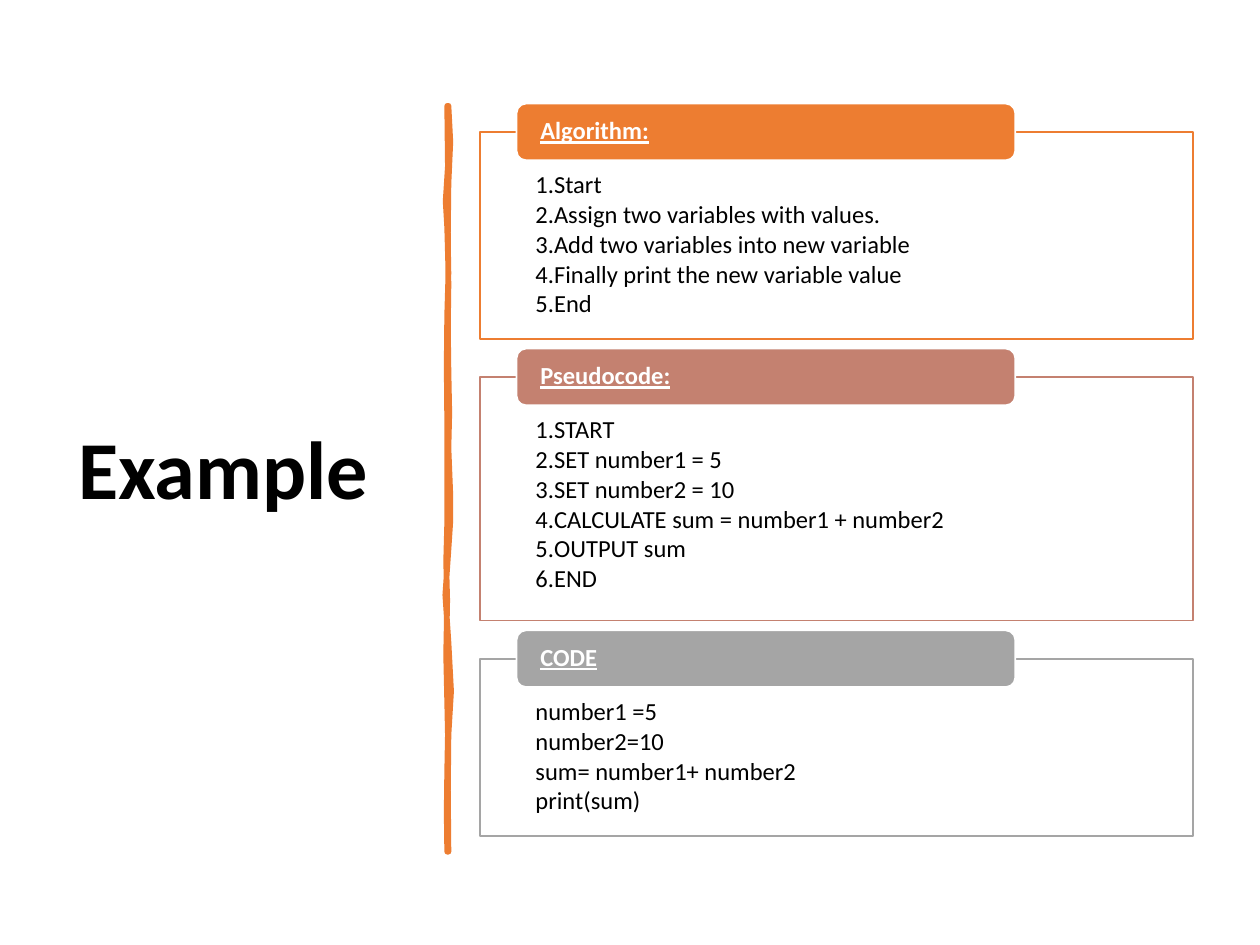
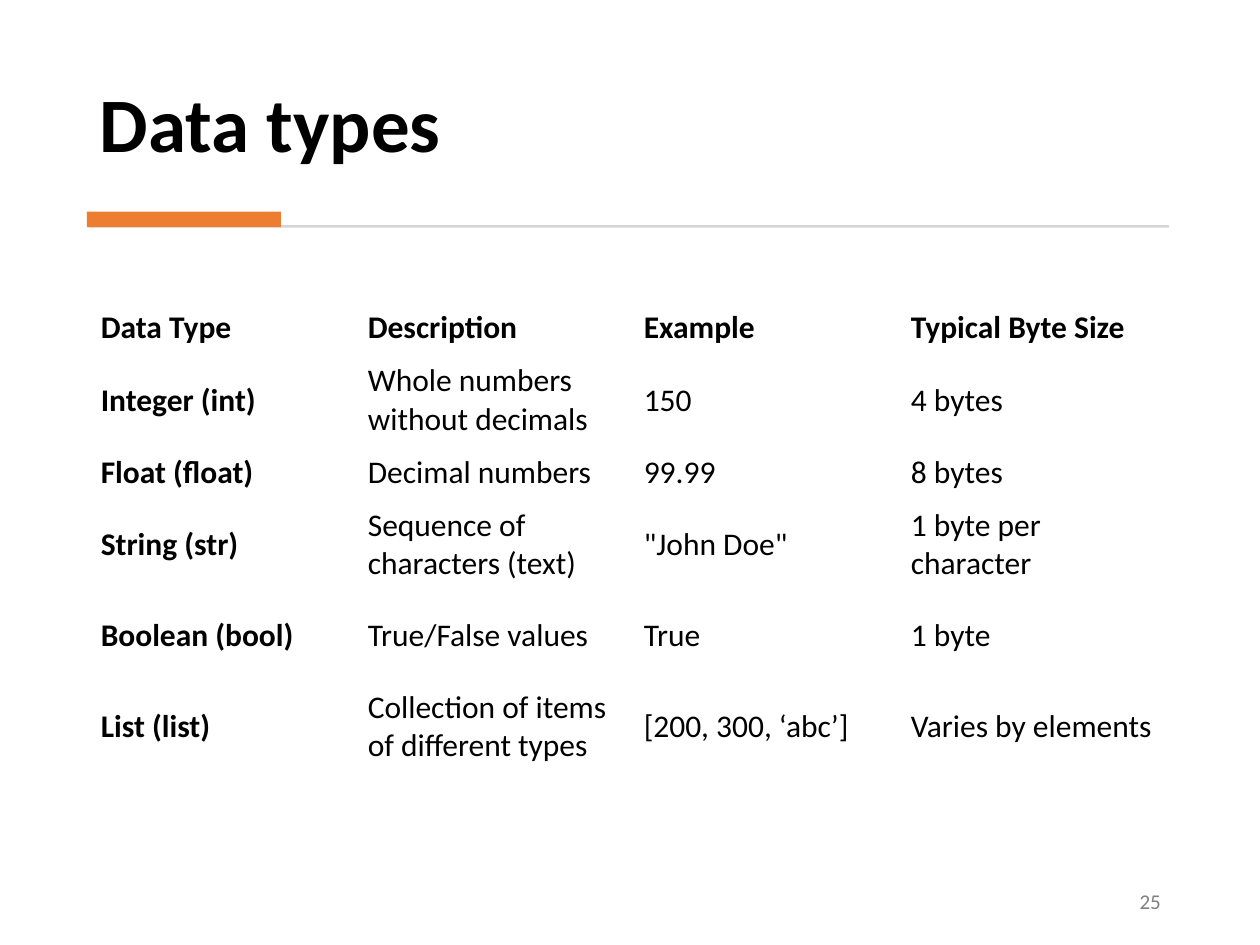
from pptx import Presentation
from pptx.dml.color import RGBColor
from pptx.enum import shapes as es, text as et
from pptx.oxml.ns import qn
from pptx.util import Pt
from lxml import etree

# Content
PANELS = [  # heading, colour, height, numbered, lines
    ("Algorithm:", "ED7D31", 118, True, [
        "Start", "Assign two variables with values.",
        "Add two variables into new variable",
        "Finally print the new variable value", "End"]),
    ("Pseudocode:", "C48170", 139, True, [
        "START", "SET number1 = 5", "SET number2 = 10",
        "CALCULATE sum = number1 + number2", "OUTPUT sum", "END"]),
    ("CODE", "A5A5A5", 101, False, [
        "number1 =5", "number2=10", "sum= number1+ number2", "print(sum)"]),
]
TYPES = [
    ("Data Type", "Description", "Example", "Typical Byte Size"),
    ("Integer (int)", "Whole numbers without decimals", "150", "4 bytes"),
    ("Float (float)", "Decimal numbers", "99.99", "8 bytes"),
    ("String (str)", "Sequence of characters (text)", '"John Doe"',
     "1 byte per character"),
    ("Boolean (bool)", "True/False values", "True", "1 byte"),
    ("List (list)", "Collection of items of different types",
     "[200, 300, ‘abc’]", "Varies by elements"),
]
COLS = [152.6, 157.7, 152.6, 158.4]
SHORT, TALL = 30.7, 52
ROWS = [SHORT, TALL, SHORT, TALL, TALL, TALL]

# Brush stroke edges: y and sideways offset from its axis
AXIS = 256
RIGHT = [(60.5, .3), (81, 1.4), (105, .3), (133, 0), (163, .3), (187, 0),
         (212, .3), (236, .8), (256, .3), (283, 1.4), (299, 1.3), (314, .3),
         (340, -1.5), (367, .3), (395, 1.8), (420, .3), (452, 0), (486.7, .3)]
LEFT = [(486.7, -.4), (464, -.7), (441, -.4), (420, 0), (401, -.4),
        (374, -1), (343, -.4), (321, -1), (299, -.4), (274, -.4),
        (241, -.4), (209, -.7), (180, -.4), (156, .3), (130, -.4),
        (115, -1.3), (95, 0), (60.5, -.4)]

# Shared style
FONT, ACCENT, BLACK, WHITE = "Calibri", "ED7D31", "000000", "FFFFFF"


def rgb(code):
    return RGBColor.from_string(code)


def write(frame, lines, size=14, color=BLACK, bold=False, under=False,
          align=et.PP_ALIGN.LEFT, anchor=et.MSO_ANCHOR.MIDDLE,
          space=1, after=0, number=False, inset=None):
    """Fill a text frame with one paragraph per line."""
    frame.word_wrap = True
    frame.vertical_anchor = anchor
    if inset:
        (frame.margin_left, frame.margin_top,
         frame.margin_right, frame.margin_bottom) = map(Pt, inset)
    for i, line in enumerate([lines] if isinstance(lines, str) else lines):
        para = frame.add_paragraph() if i else frame.paragraphs[0]
        para.alignment, para.line_spacing = align, space
        para.space_after = Pt(after)
        run = para.add_run()
        run.text = line
        font = run.font
        font.name, font.size, font.bold = FONT, Pt(size), bold
        font.underline, font.color.rgb = under, rgb(color)
        if number:
            props = para._p.get_or_add_pPr()
            props.set("marL", str(Pt(8.6)))
            props.set("indent", str(-Pt(8.6)))
            etree.SubElement(props, qn("a:buAutoNum"), type="arabicPeriod")


def paint(shape, fill, line=None, width=1):
    shape.shadow.inherit = False
    shape.fill.solid()
    shape.fill.fore_color.rgb = rgb(fill)
    if line:
        shape.line.color.rgb = rgb(line)
        shape.line.width = Pt(width)
    else:
        shape.line.fill.background()


def block(slide, box, fill, line=None, kind=es.MSO_SHAPE.RECTANGLE):
    shape = slide.shapes.add_shape(kind, *map(Pt, box))
    paint(shape, fill, line)
    return shape


def page(deck, title, box, size, anchor):
    slide = deck.slides.add_slide(deck.slide_layouts[5])
    head = slide.shapes.title
    head.left, head.top, head.width, head.height = map(Pt, box)
    write(head.text_frame, title, size=size, bold=True, anchor=anchor,
          space=.9)
    return slide


def stroke(slide):
    """Draw the uneven upright brush line."""
    dots = [(Pt(AXIS + dx), Pt(y)) for y, dx in RIGHT + LEFT]
    path = slide.shapes.build_freeform(*dots[0])
    path.add_line_segments(dots[1:], close=True)
    shape = path.convert_to_shape()
    paint(shape, ACCENT, ACCENT, 3.25)
    etree.SubElement(shape.line._get_or_add_ln(), qn("a:round"))


def example(deck):
    slide = page(deck, "Example", (37.4, 50.4, 201.6, 440), 47,
                 et.MSO_ANCHOR.MIDDLE)
    stroke(slide)
    # Stacked panels, each with a tab over its top edge
    top, gap = 75.6, 22
    for name, color, high, number, lines in PANELS:
        panel = block(slide, (274.3, top, 407.5, high), WHITE, color)
        write(panel.text_frame, lines, anchor=et.MSO_ANCHOR.TOP, space=.9,
              after=1.9, number=number, inset=(31.7, 23, 31.7, 8))
        tab = block(slide, (295.2, top - 16.4, 285, 32.4), color, WHITE,
                    es.MSO_SHAPE.ROUNDED_RECTANGLE)
        write(tab.text_frame, name, color=WHITE, bold=True, under=True,
              space=.9, inset=(12, 0, 12, 0))
        top += high + gap


def types(deck):
    slide = page(deck, "Data types", (49.7, 20.2, 620.6, 80), 44,
                 et.MSO_ANCHOR.BOTTOM)
    # Rule under the title
    block(slide, (51, 128.7, 617, 1.4), "D5D5D5")
    block(slide, (49.7, 121, 110.9, 8.8), ACCENT)
    # Page number
    foot = slide.shapes.add_textbox(*map(Pt, (524.2, 500.4, 146.2, 28.8)))
    write(foot.text_frame, "25", size=12, color="808080",
          align=et.PP_ALIGN.RIGHT)
    # Table
    box = map(Pt, (50.4, 172, sum(COLS), sum(ROWS)))
    grid = slide.shapes.add_table(len(ROWS), len(COLS), *box).table
    grid.first_row = grid.horz_banding = False
    for col, wide in zip(grid.columns, COLS):
        col.width = Pt(wide)
    for r, (row, high) in enumerate(zip(grid.rows, ROWS)):
        row.height = Pt(high)
        for c, cell in enumerate(row.cells):
            cell.fill.background()
            cell.vertical_anchor = et.MSO_ANCHOR.MIDDLE
            write(cell.text_frame, TYPES[r][c], size=18,
                  bold=r == 0 or c == 0, anchor=None)


def main():
    deck = Presentation()
    deck.slide_width, deck.slide_height = Pt(720), Pt(540)
    example(deck)
    types(deck)
    deck.save("out.pptx")


if __name__ == "__main__":
    main()
